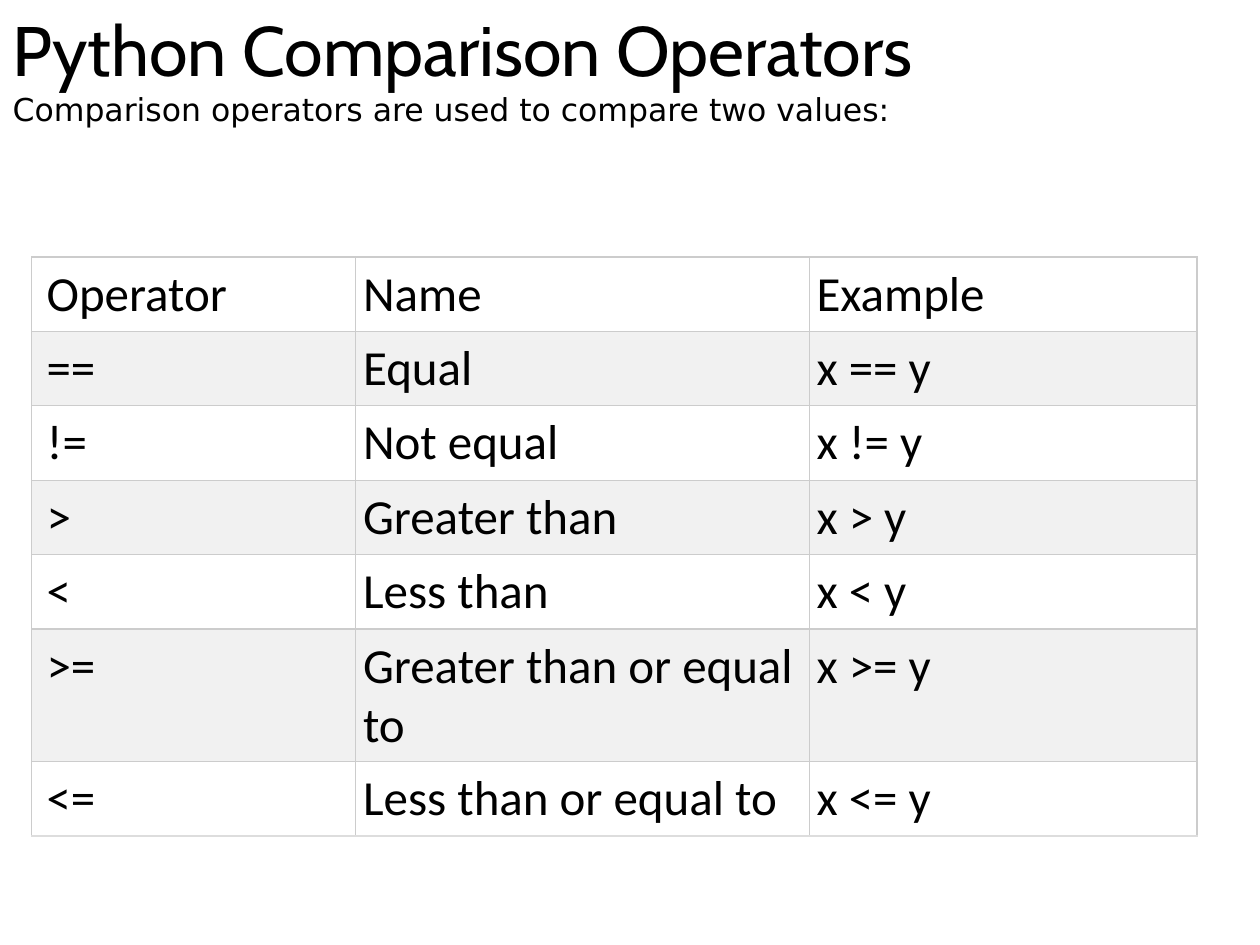
import pptx
import pptx.dml.color
import pptx.enum.text
import pptx.oxml
import pptx.oxml.ns
import pptx.util
from pptx.util import Cm

OPERATORS = [
    ("Operator", "Name", "Example"),
    ("==", "Equal", "x == y"),
    ("!=", "Not equal", "x != y"),
    (">", "Greater than", "x > y"),
    ("<", "Less than", "x < y"),
    (">=", "Greater than or equal to", "x >= y"),
    ("<=", "Less than or equal to", "x <= y"),
]
COLUMN_WIDTHS = [6.53, 9.14, 7.82]
ROW_HEIGHTS = [1.5] * 5 + [2.6, 1.5]
BAND_FILLS = ["FFFFFF", "F1F1F1"]
GRID_COLOR, BOTTOM_COLOR = "CCCCCC", "DDDDDD"


def color(hex_string):
    """Return the RGB colour for a hex string."""
    return pptx.dml.color.RGBColor.from_string(hex_string)


def add_run(paragraph, text, font_name, size):
    """Add one black run to a paragraph."""
    run = paragraph.add_run()
    run.text = text
    run.font.name = font_name
    run.font.size = pptx.util.Pt(size)
    run.font.color.rgb = color("000000")


def add_heading(slide):
    """Fill the title placeholder with the title and its introduction."""
    shape = slide.shapes.title
    shape.left, shape.top, shape.width, shape.height = Cm(0), Cm(0), Cm(25.4), Cm(2.74)
    frame = shape.text_frame
    frame.word_wrap = True
    frame.auto_size = pptx.enum.text.MSO_AUTO_SIZE.SHAPE_TO_FIT_TEXT
    frame.vertical_anchor = pptx.enum.text.MSO_ANCHOR.TOP
    title, introduction = frame.paragraphs[0], frame.add_paragraph()
    add_run(title, "Python Comparison Operators", "Cabin", 40)
    add_run(introduction, "Comparison operators are used to compare two values:", "DejaVu Sans", 18)
    for paragraph in frame.paragraphs:
        paragraph.alignment = pptx.enum.text.PP_ALIGN.LEFT


def set_borders(cell, bottom_color):
    """Draw thin lines on all four sides of a cell."""
    properties = cell._tc.get_or_add_tcPr()
    for side in "LRTB":
        line_color = bottom_color if side == "B" else GRID_COLOR
        properties.append(pptx.oxml.parse_xml(
            f'<a:ln{side} {pptx.oxml.ns.nsdecls("a")} w="{pptx.util.Pt(0.75)}">'
            f'<a:solidFill><a:srgbClr val="{line_color}"/></a:solidFill></a:ln{side}>'))


def format_cell(cell, text, left_margin, fill, bottom_color):
    """Write and style one table cell."""
    set_borders(cell, bottom_color)
    cell.fill.solid()
    cell.fill.fore_color.rgb = color(fill)
    cell.margin_left = Cm(left_margin)
    cell.margin_top = cell.margin_right = cell.margin_bottom = Cm(0.15)
    add_run(cell.text_frame.paragraphs[0], text, "Calibri", 28)


def add_operator_table(slide):
    """Add the table of operators with alternating row fills."""
    table = slide.shapes.add_table(
        len(OPERATORS), len(COLUMN_WIDTHS), Cm(0.64), Cm(5.18),
        Cm(sum(COLUMN_WIDTHS)), Cm(sum(ROW_HEIGHTS))).table
    table.first_row = table.horz_banding = False
    for column, width in zip(table.columns, COLUMN_WIDTHS):
        column.width = Cm(width)
    for row_index, texts in enumerate(OPERATORS):
        table.rows[row_index].height = Cm(ROW_HEIGHTS[row_index])
        is_last = row_index == len(OPERATORS) - 1
        for column_index, text in enumerate(texts):
            format_cell(
                table.cell(row_index, column_index), text,
                left_margin=0.15 if column_index else 0.3,
                fill=BAND_FILLS[row_index % 2],
                bottom_color=BOTTOM_COLOR if is_last else GRID_COLOR)


def main():
    """Build and save the presentation."""
    presentation = pptx.Presentation()
    presentation.slide_width, presentation.slide_height = Cm(25.4), Cm(19.05)
    slide = presentation.slides.add_slide(presentation.slide_layouts[5])
    add_operator_table(slide)
    add_heading(slide)
    presentation.save("out.pptx")


if __name__ == "__main__":
    main()
